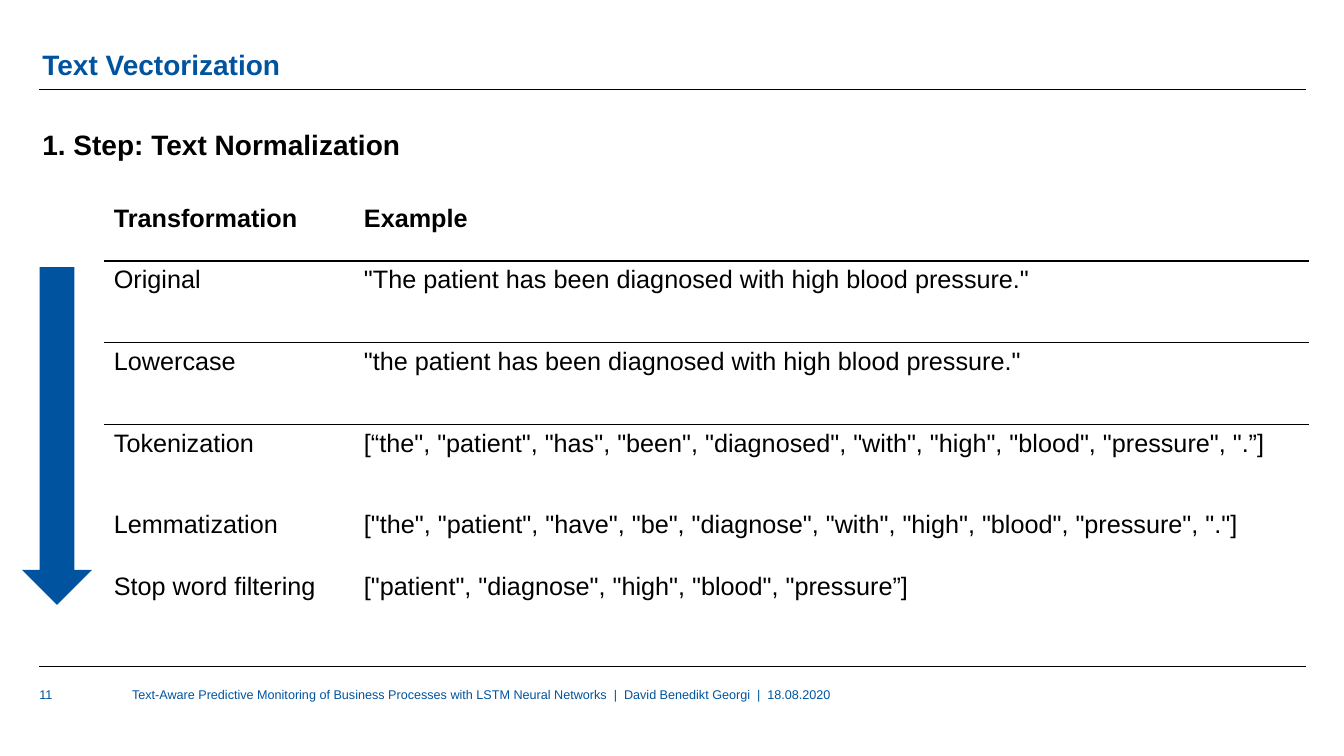
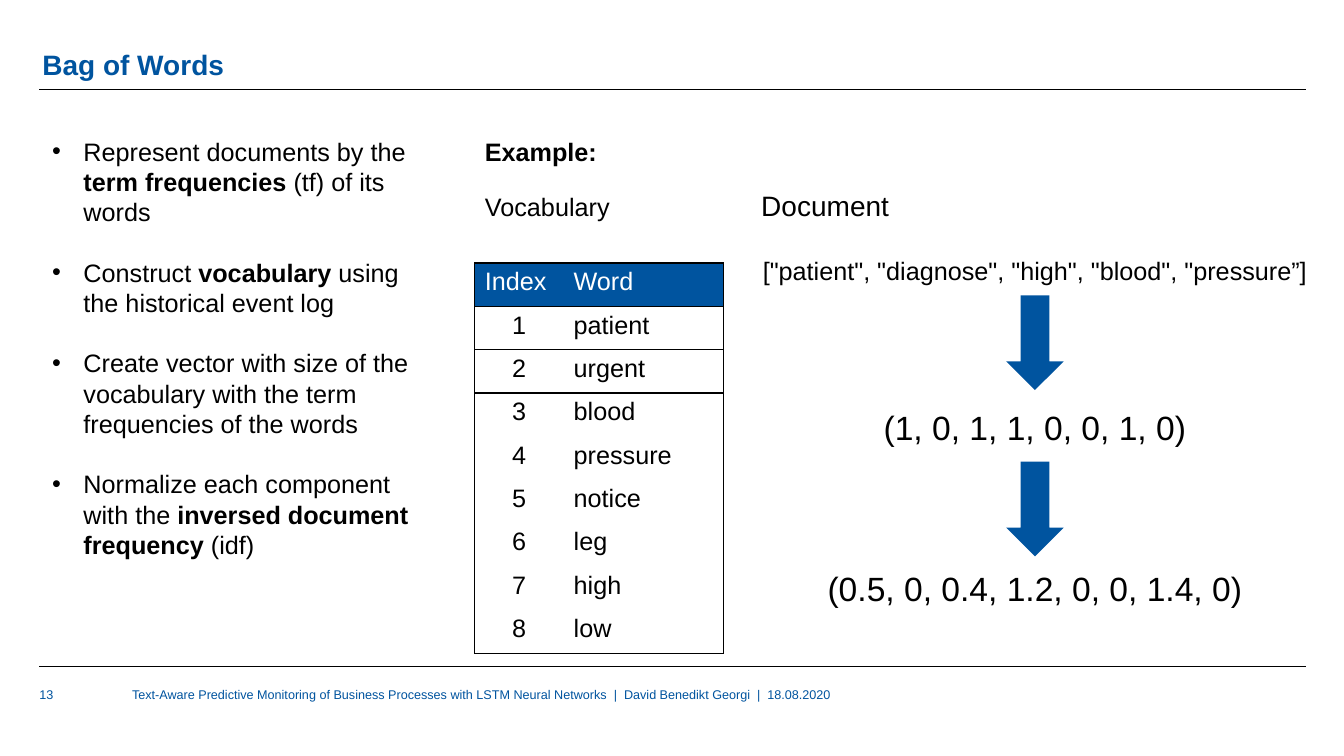
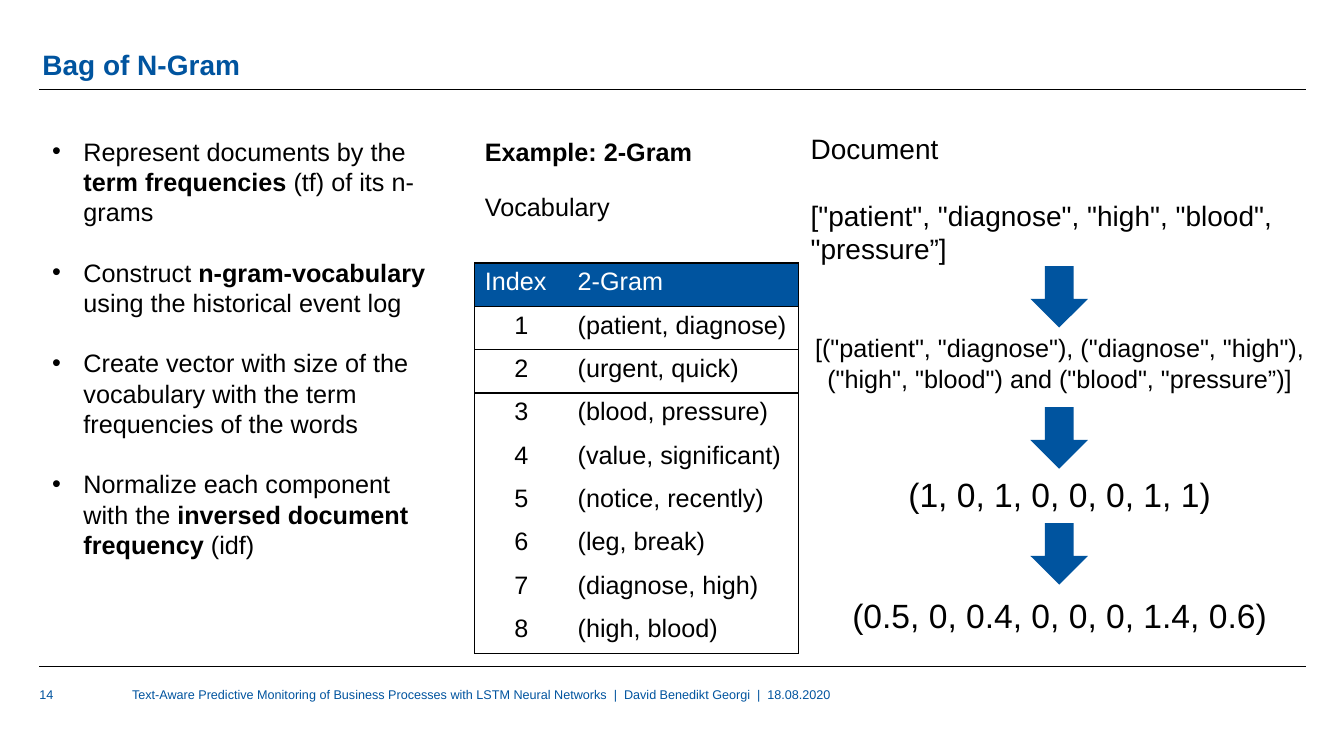
from lxml.etree import SubElement
from pptx import Presentation
from pptx.dml.color import RGBColor
from pptx.enum.shapes import MSO_CONNECTOR, MSO_SHAPE
from pptx.enum.text import MSO_ANCHOR, PP_ALIGN
from pptx.oxml.ns import qn
from pptx.util import Inches, Pt

BLUE = RGBColor(0x00, 0x54, 0x9F)
BLACK = RGBColor(0x00, 0x00, 0x00)
WHITE = RGBColor(0xFF, 0xFF, 0xFF)
FONT = "Arial"
LINE_HEIGHT = 1.2
NO_GRID_STYLE = "{2D5ABB26-0587-4C30-8999-92F81FD0307C}"
FOOTER = (
    "Text-Aware Predictive Monitoring of Business Processes with LSTM Neural Networks"
    "  |  David Benedikt Georgi  |  18.08.2020"
)
LEFT, CENTER = PP_ALIGN.LEFT, PP_ALIGN.CENTER


class Deck:
    """Holds the shared style and the slide being built."""

    def __init__(self):
        self.deck = Presentation()
        self.deck.slide_width = Inches(13.33)
        self.deck.slide_height = Inches(7.5)
        self.page = None

    def start_page(self, title, number):
        self.page = self.deck.slides.add_slide(self.deck.slide_layouts[6])
        self.text(FOOTER, 1.31, 6.81, 7.66, 0.69, size=9, color=BLUE)
        self.text(str(number), 0.39, 6.81, 0.8, 0.43, size=9, color=BLUE)
        for y in (0.89, 6.61):
            self.rule(0.39, 12.95, y)
        frame = self.text(title, 0.42, 0.22, 12.56, 0.59, size=20, color=BLUE, bold=True)
        frame.vertical_anchor = MSO_ANCHOR.BOTTOM
        frame.paragraphs[0].line_spacing = 0.9

    def frame(self, left, top, width, height, inset=(0, 0), wrap=True):
        box = self.page.shapes.add_textbox(
            Inches(left), Inches(top), Inches(width), Inches(height)
        )
        frame = box.text_frame
        frame.word_wrap = wrap
        frame.margin_left = frame.margin_right = Inches(inset[0])
        frame.margin_top = frame.margin_bottom = Inches(inset[1])
        return frame

    def style(self, paragraph, size, color=BLACK, bold=False, align=LEFT):
        paragraph.alignment = align
        for span in paragraph.runs:
            span.font.name = FONT
            span.font.size = Pt(size)
            span.font.bold = bold
            span.font.color.rgb = color

    def text(self, words, left, top, width, height, size, color=BLACK, bold=False,
             inset=(0, 0), wrap=True):
        frame = self.frame(left, top, width, height, inset, wrap)
        frame.text = words
        self.style(frame.paragraphs[0], size, color, bold)
        return frame

    def stack(self, lines, left, top, width, height):
        frame = self.frame(left, top, width, height)
        frame.text = "\n".join(words for words, *_ in lines)
        for paragraph, (_, size, align, gap) in zip(frame.paragraphs, lines):
            self.style(paragraph, size, align=align)
            paragraph.space_before = Pt(gap * LINE_HEIGHT)

    def bullets(self, items, left, top, width, height, size=18):
        frame = self.frame(left, top, width, height, inset=(0.1, 0.05))
        for index, item in enumerate(items):
            paragraph = frame.add_paragraph() if index else frame.paragraphs[0]
            for part in item.split("*"):
                paragraph.add_run().text = part
            self.style(paragraph, size)
            for span in paragraph.runs[1::2]:
                span.font.bold = True
            paragraph.space_before = Pt(size * LINE_HEIGHT if index else 0)
            properties = paragraph._p.get_or_add_pPr()
            properties.set("marL", str(Inches(0.31)))
            properties.set("indent", str(-Inches(0.31)))
            SubElement(properties, qn("a:buFont"), typeface=FONT)
            SubElement(properties, qn("a:buChar"), char="•")

    def rule(self, start, end, y):
        line = self.page.shapes.add_connector(
            MSO_CONNECTOR.STRAIGHT, Inches(start), Inches(y), Inches(end), Inches(y)
        )
        line.line.color.rgb = BLACK
        line.line.width = Pt(0.5)
        SubElement(line._element.spPr, qn("a:effectLst"))

    def down_arrow(self, left, top, width, height):
        arrow = self.page.shapes.add_shape(
            MSO_SHAPE.DOWN_ARROW, Inches(left), Inches(top), Inches(width), Inches(height)
        )
        arrow.shadow.inherit = False
        arrow.fill.solid()
        arrow.fill.fore_color.rgb = BLUE
        arrow.line.fill.background()

    def table(self, rows, left, top, widths, heights):
        table = self.page.shapes.add_table(
            len(rows), len(widths), Inches(left), Inches(top),
            Inches(sum(widths)), Inches(sum(heights)),
        ).table
        table._tbl.tblPr.find(qn("a:tableStyleId")).text = NO_GRID_STYLE
        table.first_row = table.horz_banding = False
        for column, width in zip(table.columns, widths):
            column.width = Inches(width)
        for row, height, words in zip(table.rows, heights, rows):
            row.height = Inches(height)
            for cell, word in zip(row.cells, words):
                cell.text = word
                cell.fill.background()
                self.style(cell.text_frame.paragraphs[0], 18)
        return table

    def borders(self, cell, sides):
        properties = cell._tc.get_or_add_tcPr()
        for position, side in enumerate(side for side in "LRTB" if side in sides):
            line = properties.makeelement(qn(f"a:ln{side}"), {"w": str(Pt(1))})
            fill = SubElement(line, qn("a:solidFill"))
            SubElement(fill, qn("a:srgbClr"), val=str(BLACK))
            properties.insert(position, line)

    def vocabulary(self, heading, words, widths):
        rows = [("Vocabulary", ""), ("Index", heading)]
        rows += [(str(index), word) for index, word in enumerate(words, 1)]
        heights = [0.74] + [0.43] * (len(rows) - 1)
        table = self.table(rows, 4.71, 1.87, widths, heights)
        table.cell(0, 0).merge(table.cell(0, 1))
        last = len(rows) - 1
        horizontal = {1: "TB", 2: "TB", 3: "T", last: "B"}
        for index in range(1, len(rows)):
            for column, side in enumerate("LR"):
                cell = table.cell(index, column)
                self.borders(cell, side + horizontal.get(index, ""))
                paragraph = cell.text_frame.paragraphs[0]
                if index == 1:
                    cell.fill.solid()
                    cell.fill.fore_color.rgb = BLUE
                    self.style(paragraph, 18, WHITE)
                elif column == 0:
                    paragraph.alignment = CENTER

    def bag(self, title, number, unit, vocabulary, example, heading, words, widths):
        self.start_page(title, number)
        self.vocabulary(heading, words, widths)
        self.text(example, 4.71, 1.3, 2.28, 0.4, size=18, bold=True,
                  inset=(0.1, 0.05), wrap=False)
        self.bullets([
            f"Represent documents by the *term frequencies *(tf) of its {unit}",
            f"Construct *{vocabulary}* using the historical event log",
            "Create vector with size of the vocabulary with the term frequencies of the words",
            "Normalize each component with the *inversed document frequency *(idf)",
        ], 0.42, 1.3, 3.93, 4.34)


TOKENS = '["patient", "diagnose", "high", "blood", "pressure”]'


def normalization(deck):
    deck.start_page("Text Vectorization", 11)
    deck.text("1. Step: Text Normalization", 0.42, 1.26, 12.56, 0.28, size=20, bold=True)
    table = deck.table([
        ("Transformation", "Example"),
        ("Original", '"The patient has been diagnosed with high blood pressure."'),
        ("Lowercase", '"the patient has been diagnosed with high blood pressure."'),
        ("Tokenization", '[“the", "patient", "has", "been", "diagnosed", "with", '
                         '"high", "blood", "pressure", ".”]'),
        ("Lemmatization", '["the", "patient", "have", "be", "diagnose", "with", '
                          '"high", "blood", "pressure", "."]'),
        ("Stop word filtering", TOKENS),
    ], 1.03, 1.98, [2.48, 9.47], [0.61, 0.81, 0.81, 0.81, 0.61, 0.61])
    for row, sides in enumerate(("B", "TB", "T")):
        for cell in table.rows[row].cells:
            deck.borders(cell, sides)
    for cell in table.rows[0].cells:
        deck.style(cell.text_frame.paragraphs[0], 18, bold=True)
    deck.down_arrow(0.22, 2.65, 0.69, 3.35)


def bag_of_words(deck):
    deck.bag("Bag of Words", 13, "words", "vocabulary", "Example:", "Word",
             ["patient", "urgent", "blood", "pressure", "notice", "leg", "high", "low"],
             [0.88, 1.59])
    deck.stack([
        ("Document", 20, LEFT, 0),
        (TOKENS, 18, CENTER, 20),
        ("(1, 0, 1, 1, 0, 0, 1, 0)", 24, CENTER, 3 * 24),
        ("(0.5, 0, 0.4, 1.2, 0, 0, 1.4, 0)", 24, CENTER, 3 * 24),
    ], 7.55, 1.87, 5.43, 4.62)
    for top in (2.93, 4.58):
        deck.down_arrow(9.98, top, 0.57, 0.94)


def bag_of_ngrams(deck):
    deck.bag("Bag of N-Gram", 14, "n-grams", "n-gram-vocabulary", "Example: 2-Gram", "2-Gram",
             ["(patient, diagnose)", "(urgent, quick)", "(blood, pressure)",
              "(value, significant)", "(notice, recently)", "(leg, break)",
              "(diagnose, high)", "(high, blood)"],
             [0.92, 2.29])
    deck.stack([
        ("Document", 20, LEFT, 0),
        (TOKENS, 20, LEFT, 20),
        ('[("patient", "diagnose"), ("diagnose", "high"), '
         '("high", "blood") and ("blood", "pressure”)]', 18, CENTER, 2 * 20),
        ("(1, 0, 1, 0, 0, 0, 1, 1)", 24, CENTER, 2 * 24),
        ("(0.5, 0, 0.4, 0, 0, 0, 1.4, 0.6)", 24, CENTER, 2 * 24),
    ], 8.04, 1.3, 4.94, 5.18)
    for top in (2.64, 4.04, 5.19):
        deck.down_arrow(10.22, top, 0.57, 0.61)


def main():
    deck = Deck()
    for build in (normalization, bag_of_words, bag_of_ngrams):
        build(deck)
    deck.deck.save("out.pptx")


if __name__ == "__main__":
    main()
